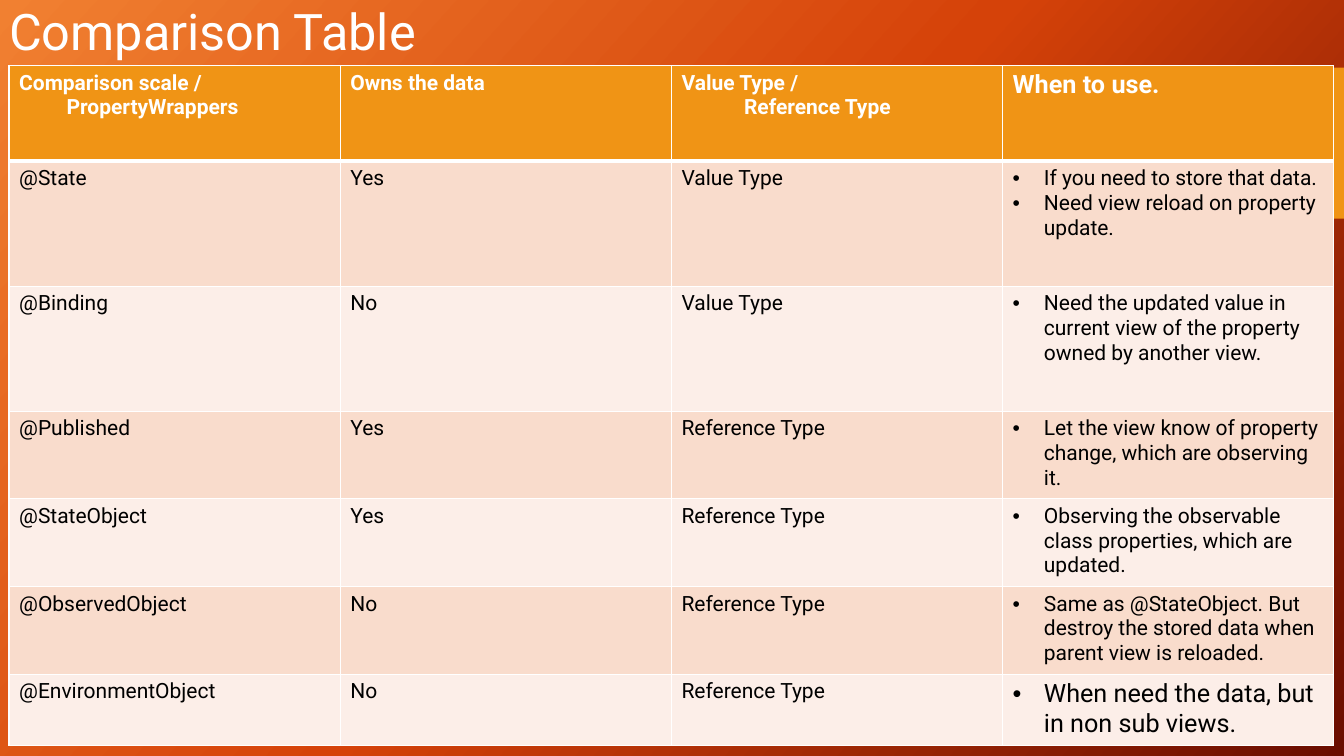
"""Build a slide that compares property wrappers in a styled table."""
from copy import deepcopy

from pptx import Presentation
from pptx.dml.color import RGBColor
from pptx.enum.shapes import MSO_SHAPE as SHAPE
from pptx.enum.text import MSO_ANCHOR as ANCHOR, MSO_AUTO_SIZE as AUTO, PP_ALIGN as ALIGN
from pptx.oxml.ns import qn
from pptx.oxml.xmlchemy import OxmlElement
from pptx.util import Inches, Pt

WHITE = RGBColor(0xFF, 0xFF, 0xFF)
BLACK = RGBColor(0, 0, 0)
AMBER = RGBColor(0xF0, 0x94, 0x15)
PEACH = RGBColor(0xF9, 0xDC, 0xCC)
CREAM = RGBColor(0xFC, 0xEE, 0xE8)
GRADIENT = {0: RGBColor(0xF1, 0x80, 0x31), 0.5: RGBColor(0xD5, 0x42, 0x09),
            1: RGBColor(0x6A, 0x0D, 0x00)}

COL_WIDTH = 3.285
ROW_HEIGHTS = [0.95, 1.24, 1.24, 0.87, 0.87, 0.87, 0.71]
HEADER = [
    (["Comparison scale /", "PropertyWrappers"], 15, 0.47),
    (["Owns the data"], 15, 0),
    (["Value Type /", "Reference Type"], 15, 0.62),
    (["When to use."], 18, 0),
]
WRAPPERS = [
    ("@State", "Yes", "Value Type",
     ["If you need to store that data.", "Need view reload on property update."], 15),
    ("@Binding", "No", "Value Type",
     ["Need the updated value in current view of the property owned by another view."], 15),
    ("@Published", "Yes", "Reference Type",
     ["Let the view know of property change, which are observing it."], 15),
    ("@StateObject", "Yes", "Reference Type",
     ["Observing the observable class properties, which are updated."], 15),
    ("@ObservedObject", "No", "Reference Type",
     ["Same as @StateObject. But destroy the stored data when parent view is reloaded."], 15),
    ("@EnvironmentObject", "No", "Reference Type",
     ["When need the data, but in non sub views."], 18),
]


def add_xml(parent, tag, **attrs):
    el = OxmlElement(tag)
    for name, value in attrs.items():
        el.set(name, str(value))
    parent.append(el)
    return el


class Deck:
    font = "Roboto"

    def __init__(self, prs):
        self.s = prs.slides.add_slide(prs.slide_layouts[5])

    def background(self, stops, angle):
        fill = self.s.background.fill
        fill.gradient()
        fill.gradient_angle = 360 - angle
        gs_list = next(self.s._element.iter(qn("a:gsLst")))
        gs_list.insert(1, deepcopy(gs_list[0]))
        for stop, (position, color) in zip(fill.gradient_stops, stops.items()):
            stop.position = position
            stop.color.rgb = color

    def rect(self, x, y, w, h, color):
        sp = self.s.shapes.add_shape(SHAPE.RECTANGLE, *map(Inches, (x, y, w, h)))
        sp.shadow.inherit = False
        sp.fill.solid()
        sp.fill.fore_color.rgb = color
        sp.line.fill.background()

    def run(self, p, text, color, size, bold=False):
        r = p.add_run()
        r.text = text
        for name, value in {"name": self.font, "size": Pt(size), "bold": bold}.items():
            setattr(r.font, name, value)
        r.font.color.rgb = color

    def title(self, text, x, y, w, h):
        sp = self.s.shapes.title
        box = {"left": x, "top": y, "width": w, "height": h}
        for name, value in box.items():
            setattr(sp, name, Inches(value))
        tf = sp.text_frame
        layout = {"word_wrap": True, "auto_size": AUTO.NONE, "vertical_anchor": ANCHOR.TOP}
        for name, value in layout.items():
            setattr(tf, name, value)
        p = tf.paragraphs[0]
        p.alignment = ALIGN.LEFT
        self.run(p, text, WHITE, 36)

    def table(self, x, y, col_widths, row_heights):
        table = self.s.shapes.add_table(
            len(row_heights), len(col_widths), Inches(x), Inches(y),
            Inches(sum(col_widths)), Inches(sum(row_heights))).table
        for col, width in zip(table.columns, col_widths):
            col.width = Inches(width)
        for row, height in zip(table.rows, row_heights):
            row.height = Inches(height)
        return table

    def cell(self, cell, lines, fill, color, size=15, bold=False,
             bullet=False, indent=0, top=1, bottom=1):
        tc_pr = cell._tc.get_or_add_tcPr()
        for side, width in {"L": 1, "R": 1, "T": top, "B": bottom}.items():
            ln = add_xml(tc_pr, f"a:ln{side}", w=Pt(width))
            add_xml(add_xml(ln, "a:solidFill"), "a:srgbClr", val=WHITE)
        cell.fill.solid()
        cell.fill.fore_color.rgb = fill
        tf = cell.text_frame
        for i, line in enumerate(lines):
            p = tf.add_paragraph() if i else tf.paragraphs[0]
            p_pr = p._p.get_or_add_pPr()
            if bullet:
                p_pr.set("marL", str(Inches(0.31)))
                p_pr.set("indent", str(-Inches(0.31)))
                add_xml(p_pr, "a:buFont", typeface="Arial")
                add_xml(p_pr, "a:buChar", char="•")
            elif i:
                p_pr.set("marL", str(Inches(indent)))
            self.run(p, line, color, size, bold)


prs = Presentation()
prs.slide_width, prs.slide_height = Inches(13.33), Inches(7.5)
deck = Deck(prs)
deck.background(GRADIENT, 42)
deck.rect(11.58, 0.67, 1.75, 1.5, AMBER)
deck.title("Comparison Table", -0.01, -0.05, 6.67, 0.71)

table = deck.table(0.09, 0.65, [COL_WIDTH] * len(HEADER), ROW_HEIGHTS)
for c, (lines, size, indent) in enumerate(HEADER):
    deck.cell(table.cell(0, c), lines, AMBER, WHITE, size, bold=True, indent=indent, bottom=3)
for r, (*facts, uses, size) in enumerate(WRAPPERS, 1):
    band = {"fill": PEACH if r % 2 else CREAM, "color": BLACK, "top": 3 if r == 1 else 1}
    for c, fact in enumerate(facts):
        deck.cell(table.cell(r, c), [fact], **band)
    deck.cell(table.cell(r, len(facts)), uses, size=size, bullet=True, **band)

prs.save("out.pptx")
